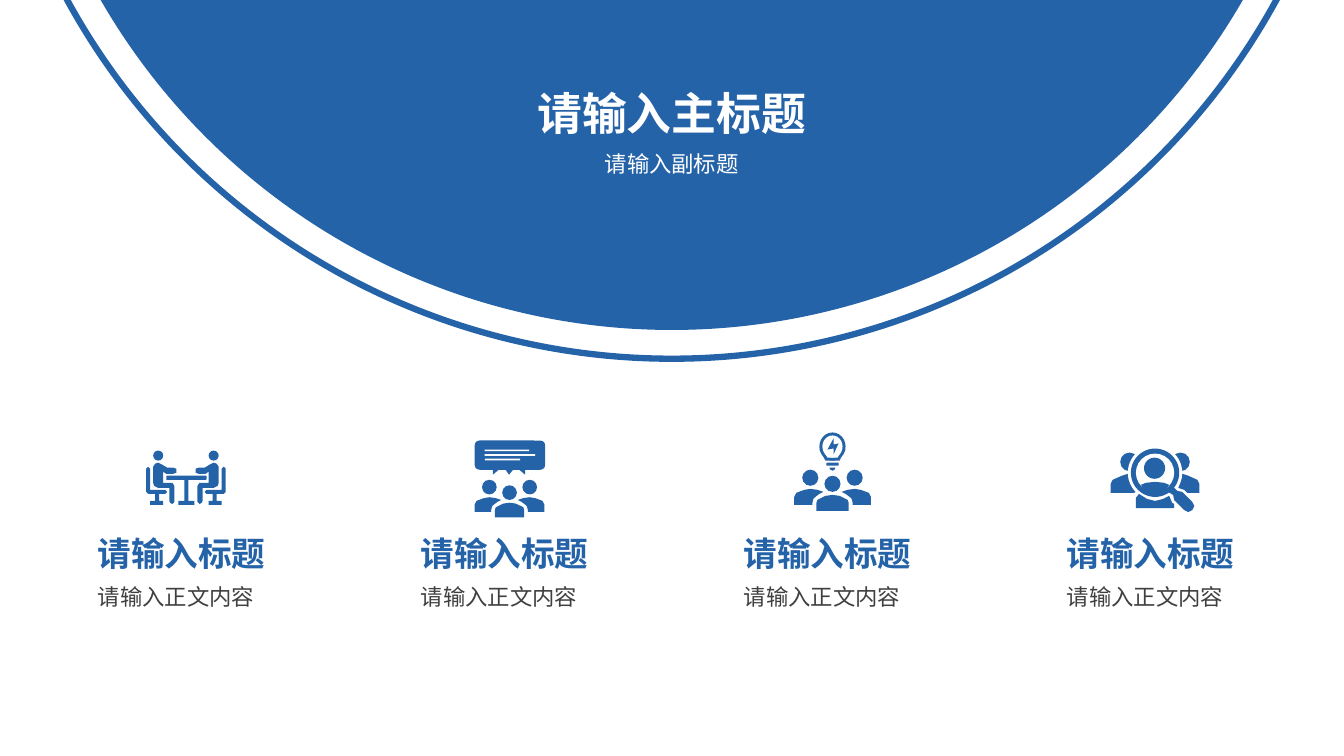
from pptx import Presentation
from pptx.dml.color import RGBColor
from pptx.enum.shapes import MSO_SHAPE as SHAPE
from pptx.enum.text import MSO_AUTO_SIZE as FIT, PP_ALIGN as ALIGN
from pptx.util import Cm, Pt

BLUE = RGBColor(0x25, 0x63, 0xA9)
WHITE = RGBColor(0xFF, 0xFF, 0xFF)
GRAY = RGBColor(0x40, 0x40, 0x40)
FONT = "Arial"
UNIT = Cm(2.54) // 100
OVAL, ROUND, RECT, POLYGON = SHAPE.OVAL, SHAPE.ROUNDED_RECTANGLE, SHAPE.RECTANGLE, None

prs = Presentation()
prs.slide_width, prs.slide_height = Cm(33.87), Cm(19.05)
slide = prs.slides.add_slide(prs.slide_layouts[6])
shapes = slide.shapes


def add_text(text, x, y, w, h, size, color, bold=False, left_inset=0.25):
    tf = shapes.add_textbox(Cm(x), Cm(y), Cm(w), Cm(h)).text_frame
    tf.word_wrap = False
    tf.auto_size = FIT.SHAPE_TO_FIT_TEXT
    tf.margin_left = Cm(left_inset)
    p = tf.paragraphs[0]
    p.alignment = ALIGN.CENTER
    r = p.add_run()
    r.text = text
    r.font.name, r.font.size, r.font.bold = FONT, Pt(size), bold
    r.font.color.rgb = color


def mirror(marks, width):
    flipped = []
    for kind, color, values in marks:
        if kind is POLYGON:
            flipped.append((kind, color, [(width - x, y) for x, y in values]))
        else:
            x, y, w, h = values
            flipped.append((kind, color, (width - x - w, y, w, h)))
    return marks + flipped


for center_y, diameter, start, end, filled in [
    (-8.3, 33.07, 3.6, 103.48, True),
    (-8.32, 34.72, 3.65, 102.46, False),
]:
    sp = shapes.add_shape(SHAPE.ARC, Cm(16.93 - diameter / 2), Cm(center_y - diameter / 2),
                          Cm(diameter), Cm(diameter))
    sp.adjustments[0], sp.adjustments[1] = start, end
    sp.shadow.inherit = False
    sp.line.color.rgb, sp.line.width = BLUE, Pt(4.5)
    if filled:
        sp.fill.solid()
        sp.fill.fore_color.rgb = BLUE
    else:
        sp.fill.background()

add_text("请输入主标题", 13.26, 2.03, 7.34, 1.62, 32, WHITE, bold=True)
add_text("请输入副标题", 14.96, 3.66, 3.94, 0.94, 16, WHITE)

for column in range(4):
    x = 2.44 + column * 8.14
    add_text("请输入标题", x, 13.31, 4.52, 1.27, 24, BLUE, bold=True, left_inset=0)
    add_text("请输入正文内容", x, 14.58, 4.24, 0.94, 16, GRAY, left_inset=0)

meeting = mirror([
    (OVAL, BLUE, (7, 0, 10, 10)),
    (POLYGON, BLUE, [(7, 16), (9, 13), (12, 12), (16, 14), (21, 17), (27, 17), (30, 18),
                     (30, 22), (27, 23), (20, 23), (17, 21), (17, 32), (26, 32), (28, 35),
                     (28, 51), (26, 53), (24, 52), (23, 50), (23, 37), (12, 37), (8, 35),
                     (7, 32)]),
    (POLYGON, BLUE, [(0, 18), (2, 16), (4, 18), (4, 39), (19, 39), (21, 41), (19, 43),
                     (13, 43), (13, 50), (17, 50), (17, 54), (4, 54), (4, 50), (9, 50),
                     (9, 43), (2, 43), (0, 41)]),
], 79) + [
    (ROUND, BLUE, (20, 25, 40, 4)),
    (RECT, BLUE, (38, 28, 4, 23)),
    (RECT, BLUE, (32, 50, 16, 4)),
]

people = mirror([
    (OVAL, BLUE, (52, 0, 16, 16)),
    (POLYGON, BLUE, [(47, 22), (53, 20), (60, 19), (66, 20), (74, 23), (76, 27), (76, 35),
                     (58, 35), (58, 33), (57, 29), (55, 27), (51, 24)]),
], 76) + [
    (OVAL, BLUE, (30, 6, 16, 16)),
    (POLYGON, BLUE, [(22, 41), (22, 33), (23, 30), (31, 26), (38, 25), (45, 26), (53, 30),
                     (54, 33), (54, 41)]),
]

bubble = [
    (ROUND, BLUE, (0, 0, 70, 29)),
    (POLYGON, BLUE, [(18, 28), (25, 28), (18, 34)]),
    (POLYGON, BLUE, [(30, 28), (39, 28), (34, 34)]),
    (POLYGON, BLUE, [(43, 28), (50, 28), (50, 34)]),
    (RECT, WHITE, (10, 9, 44, 1.7)),
    (RECT, WHITE, (10, 13.5, 50, 1.7)),
    (RECT, WHITE, (10, 18, 35, 1.7)),
]

bulb = [
    (OVAL, BLUE, (0, 0, 26, 28)),
    (POLYGON, BLUE, [(0, 17), (26, 17), (23, 22), (20, 28), (6, 28), (3, 22)]),
    (OVAL, WHITE, (3, 3, 20, 22)),
    (POLYGON, WHITE, [(4, 17), (22, 17), (21, 20), (18, 25), (8, 25), (5, 20)]),
    (POLYGON, BLUE, [(8, 17), (14, 6), (14, 12), (19, 11), (14, 22), (14, 16)]),
    (ROUND, BLUE, (7, 30, 12, 3)),
    (POLYGON, BLUE, [(10, 35), (16, 35), (15, 37), (13, 38), (11, 37)]),
]

search = mirror([(OVAL, BLUE, (9.5, 4, 18.5, 18.5))], 88) + [
    (POLYGON, BLUE, [(0, 44), (0, 35), (2, 31), (11, 27), (17, 25), (20, 36), (25, 43),
                     (23, 44)]),
    (POLYGON, BLUE, [(71, 25), (77, 27), (86, 31), (88, 35), (88, 44), (76, 44), (73, 41),
                     (67, 39)]),
    (OVAL, WHITE, (17, -3, 54, 54)),
    (OVAL, BLUE, (20, 0, 48, 48)),
    (OVAL, WHITE, (25, 5, 38, 38)),
    (OVAL, BLUE, (33, 9, 21, 21)),
    (POLYGON, BLUE, [(30, 36), (35, 34), (44, 33), (53, 34), (58, 36), (54, 42), (44, 45),
                     (34, 42)]),
    (POLYGON, BLUE, [(25, 59), (25, 49), (28, 45), (36, 50), (44, 52), (52, 50), (58, 47),
                     (61, 54), (63, 55), (63, 59)]),
    (POLYGON, BLUE, [(57, 43), (62, 38), (66, 42), (71, 43), (81, 53), (83, 57), (81, 61),
                     (77, 63), (73, 61), (63, 51), (62, 46)]),
]

for left, top, scale, marks in [
    (145, 447, 1, meeting),
    (471, 437, 1, bubble),
    (471, 476, 0.91, people),
    (813, 429, 1, bulb),
    (788, 466, 1, people),
    (1102, 445, 1, search),
]:
    x0, y0, step = left * UNIT, top * UNIT, UNIT * scale
    for kind, color, values in marks:
        if kind is POLYGON:
            outline = shapes.build_freeform(*values[0], scale=step)
            outline.add_line_segments(values[1:], close=True)
            sp = outline.convert_to_shape(x0, y0)
        else:
            x, y, w, h = [int(value * step) for value in values]
            sp = shapes.add_shape(kind, x0 + x, y0 + y, w, h)
        sp.shadow.inherit = False
        sp.fill.solid()
        sp.fill.fore_color.rgb = color
        sp.line.fill.background()

prs.save("out.pptx")
